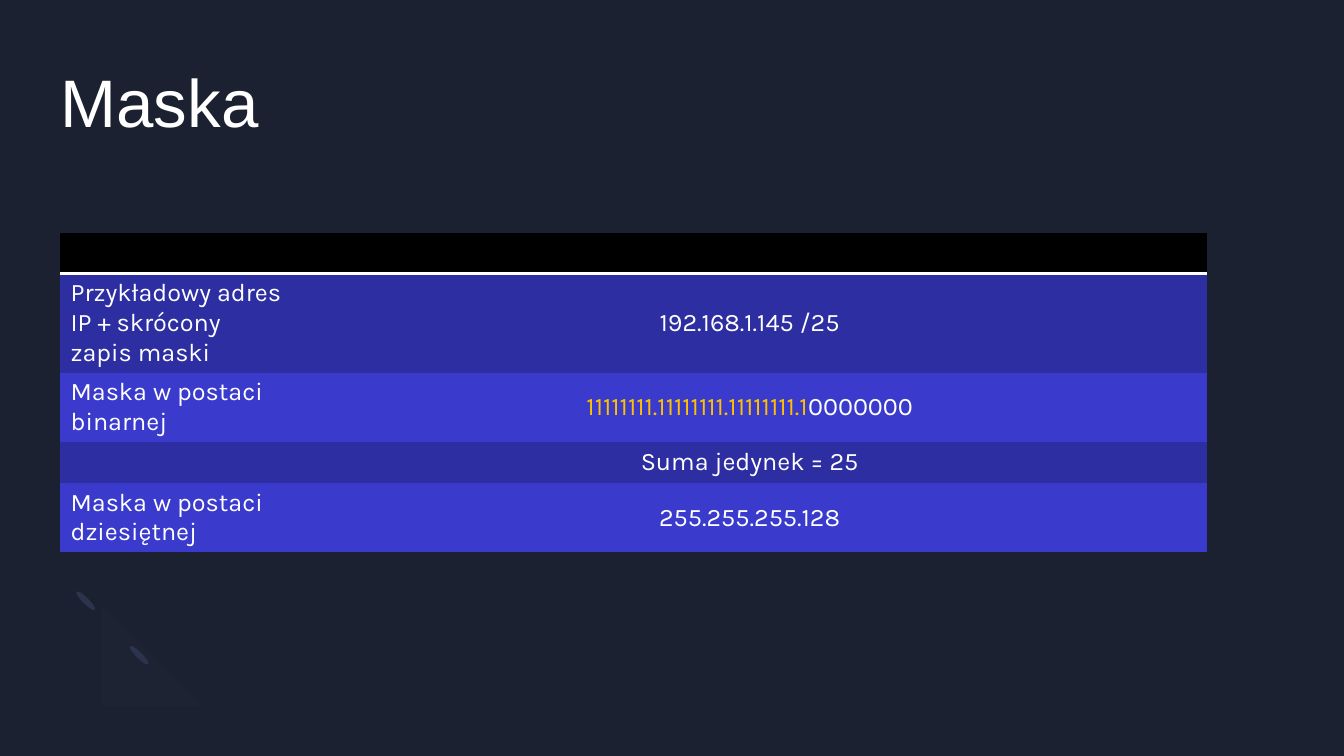
"""Builds the slide about the network mask."""
from lxml.etree import SubElement
from pptx import Presentation
from pptx.dml.color import RGBColor
from pptx.enum.shapes import MSO_SHAPE
from pptx.enum.text import MSO_ANCHOR, MSO_AUTO_SIZE, PP_ALIGN
from pptx.oxml import parse_xml
from pptx.oxml.ns import nsdecls, qn
from pptx.util import Inches, Pt

WHITE, BLACK, YELLOW = "FFFFFF", "000000", "FFC000"
BACKGROUND, ARC, ARC_END = "1B2130", "1D2333", "2B344C"
BANDS = ("2E2EA3", "3A3ACC")
NO_STYLE = "{2D5ABB26-0587-4C30-8999-92F81FD0307C}"
BIT_COLUMNS = 32


def color(code):
    return RGBColor.from_string(code)


def paint(target, code):
    target.fill.solid()
    target.fill.fore_color.rgb = color(code)


def write(frame, *pieces, size=18, font="Karla", align=PP_ALIGN.LEFT):
    paragraph = frame.paragraphs[0]
    paragraph.alignment = align
    for text, code in pieces:
        span = paragraph.add_run()
        span.text = text
        span.font.size, span.font.name = Pt(size), font
        span.font.color.rgb = color(code)


def curve(start, first, second, end, steps=16):
    return [
        tuple((1 - t) ** 3 * a + 3 * (1 - t) ** 2 * t * b + 3 * (1 - t) * t * t * c + t ** 3 * d
              for a, b, c, d in zip(start, first, second, end))
        for t in (step / steps for step in range(1, steps + 1))
    ]


class SlideBuilder:
    def __init__(self, deck):
        self.page = deck.slides.add_slide(deck.slide_layouts[5])
        paint(self.page.background, BACKGROUND)

    def title(self, text, left, top, width, height):
        box = self.page.shapes.title
        box.left, box.top, box.width, box.height = map(Inches, (left, top, width, height))
        frame = box.text_frame
        frame.margin_left = frame.margin_right = frame.margin_top = frame.margin_bottom = 0
        frame.vertical_anchor = MSO_ANCHOR.TOP
        frame.auto_size = MSO_AUTO_SIZE.NONE
        write(frame, (text, WHITE), size=48, font="Arial")

    def finish(self, shape, code):
        shape.shadow.inherit = False
        paint(shape, code)
        shape.line.fill.background()

    def ellipse(self, left, top, width, height, code, rotation=0):
        shape = self.page.shapes.add_shape(
            MSO_SHAPE.OVAL, *map(Inches, (left, top, width, height)))
        shape.rotation = rotation
        self.finish(shape, code)

    def outline(self, points, code):
        builder = self.page.shapes.build_freeform(*points[0], scale=Inches(1))
        builder.add_line_segments(points[1:], close=True)
        self.finish(builder.convert_to_shape(), code)

    def table(self, left, top, widths, heights):
        frame = self.page.shapes.add_table(
            len(heights), len(widths),
            *map(Inches, (left, top, sum(widths), sum(heights))))
        table = frame.table
        table.first_row = table.horz_banding = False
        table._tbl.tblPr.find(qn("a:tableStyleId")).text = NO_STYLE
        for column, width in zip(table.columns, widths):
            column.width = Inches(width)
        for row, height in zip(table.rows, heights):
            row.height = Inches(height)
        return table

    def bottom_border(self, cell, code, points):
        line = parse_xml(f'<a:lnB {nsdecls("a")} w="{Pt(points)}"/>')
        SubElement(SubElement(line, qn("a:solidFill")), qn("a:srgbClr"), val=code)
        cell._tc.get_or_add_tcPr().insert(0, line)


deck = Presentation()
deck.slide_width, deck.slide_height = Inches(13.33), Inches(7.5)
slide = SlideBuilder(deck)

arc = [(0.76, 6.59), *curve((0.76, 6.59), (0.56, 6.39), (0.58, 6.05), (0.81, 5.82)),
       (0.99, 6), *curve((0.99, 6), (0.87, 6.11), (0.86, 6.29), (0.96, 6.38)),
       *curve((0.96, 6.38), (1.06, 6.48), (1.23, 6.47), (1.35, 6.36)),
       (1.52, 6.54), *curve((1.52, 6.54), (1.3, 6.76), (0.95, 6.79), (0.76, 6.59))]
slide.outline(arc, ARC)
for left, top in ((1.35, 6.37), (0.82, 5.83)):
    slide.ellipse(left, top, 0.06, 0.26, ARC_END, rotation=135)

slide.title("Maska", 0.6, 0.6, 12.13, 1.46)

rows = [
    ("Przykładowy adres IP + skrócony zapis maski", [("192.168.1.145 /25", WHITE)]),
    ("Maska w postaci binarnej",
     [("11111111.11111111.11111111.1", YELLOW), ("0000000", WHITE)]),
    ("", [("Suma jedynek = 25", WHITE)]),
    ("Maska w postaci dziesiętnej", [("255.255.255.128", WHITE)]),
]
label_width, table_width = 2.3, 11.38
bit_width = (table_width - label_width) / BIT_COLUMNS
table = slide.table(0.6, 2.31, [label_width] + [bit_width] * BIT_COLUMNS,
                    [0.38, 0.98, 0.69, 0.39, 0.69])
for cell in table.rows[0].cells:
    paint(cell, BLACK)
    slide.bottom_border(cell, WHITE, 2)
for index, (label, value) in enumerate(rows):
    cells = list(table.rows[index + 1].cells)
    for cell in cells:
        paint(cell, BANDS[index % 2])
    cells[1].merge(cells[-1])
    cells[1].vertical_anchor = MSO_ANCHOR.MIDDLE
    if label:
        write(cells[0].text_frame, (label, WHITE))
    write(cells[1].text_frame, *value, align=PP_ALIGN.CENTER)

deck.save("out.pptx")
